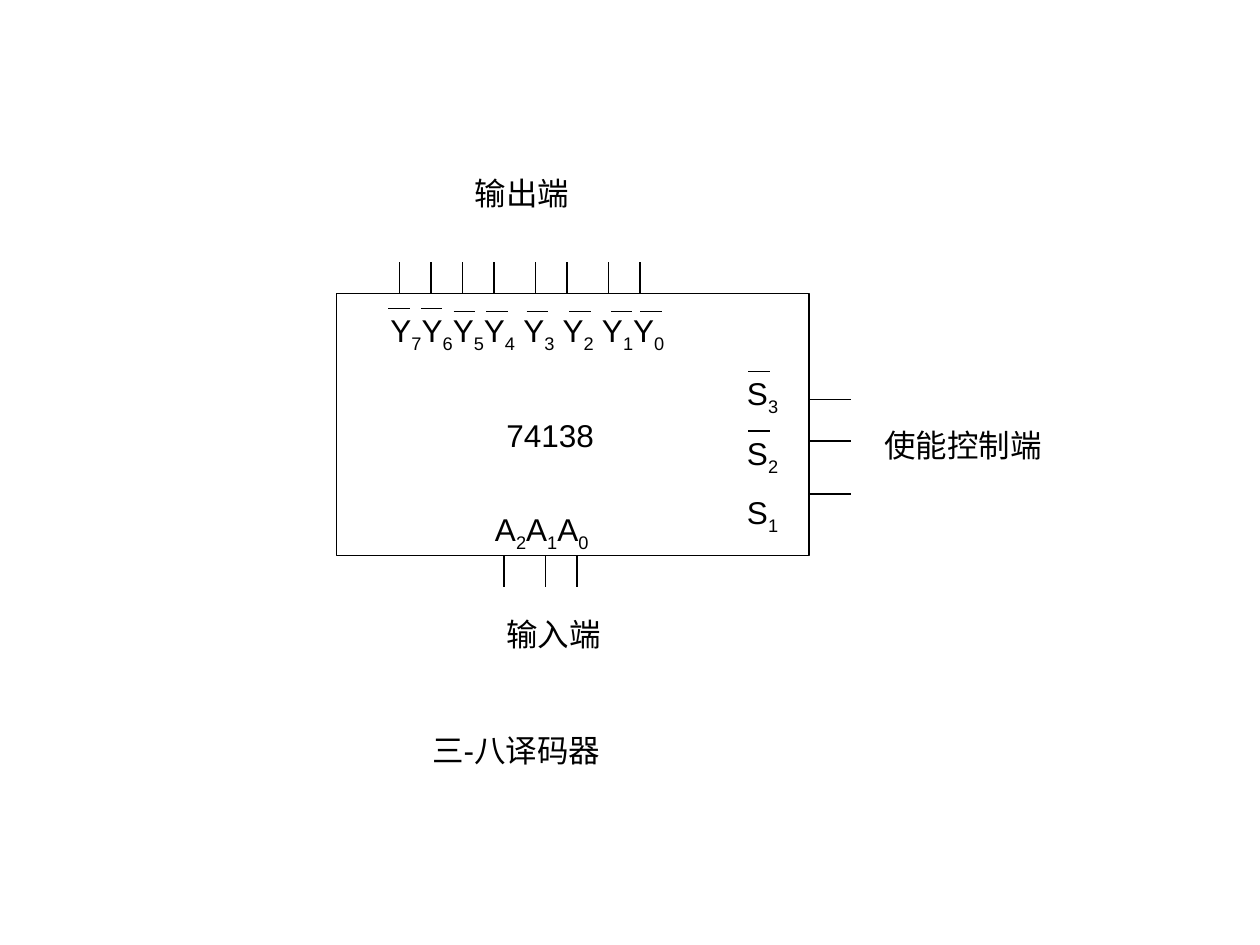
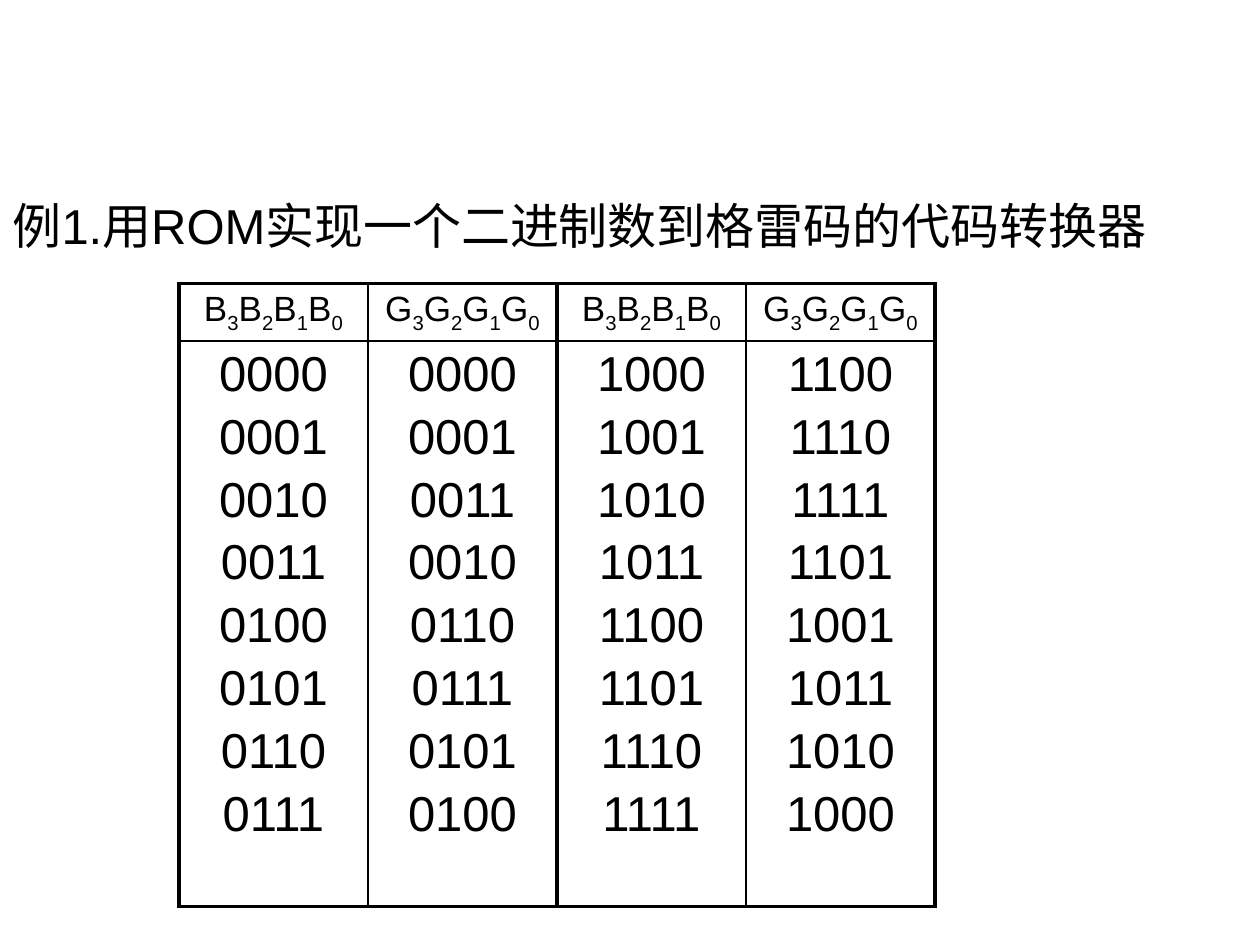
"""Build two slides: a 3-to-8 decoder diagram and a binary to Gray code table."""
import pptx
import pptx.dml.color
import pptx.enum.shapes
import pptx.enum.text
import pptx.util
from lxml import etree
from pptx.oxml.ns import qn

Inches, Pt = pptx.util.Inches, pptx.util.Pt
ALIGN = pptx.enum.text.PP_ALIGN
THEME = {
    "ink": pptx.dml.color.RGBColor(0, 0, 0),
    "font": "Arial",
    "label": 18, "header": 20, "body": 28,
    "thin": 0.75, "rule": 1, "frame": 2.25,
    "subscript": "-25000",
}
FRAME = {
    "word_wrap": True,
    "auto_size": pptx.enum.text.MSO_AUTO_SIZE.NONE,
    "vertical_anchor": pptx.enum.text.MSO_ANCHOR.TOP,
}


def write(tf, lines, size, align=ALIGN.LEFT, gap=0.0):
    """Fill a text frame; the character after each underscore is a subscript."""
    for n, text in enumerate(lines):
        p = tf.paragraphs[0] if n == 0 else tf.add_paragraph()
        p.alignment = align
        p.space_before = Pt(gap if n else 0)
        first, *rest = text.split("_")
        pieces = [(first, False)]
        for part in rest:
            pieces += [(part[0], True), (part[1:], False)]
        for piece, lowered in pieces:
            if not piece:
                continue
            r = p.add_run()
            r.text = piece
            fmt = {"name": THEME["font"], "size": Pt(size), "bold": False}
            for key, value in fmt.items():
                setattr(r.font, key, value)
            r.font.color.rgb = THEME["ink"]
            if lowered:
                r._r.get_or_add_rPr().set("baseline", THEME["subscript"])


def line(s, x1, y1, x2, y2):
    """Draw a thin straight line without a shadow."""
    c = s.shapes.add_connector(
        pptx.enum.shapes.MSO_CONNECTOR.STRAIGHT,
        Inches(x1), Inches(y1), Inches(x2), Inches(y2))
    c.line.color.rgb = THEME["ink"]
    c.line.width = Pt(THEME["thin"])
    etree.SubElement(c._element.spPr, qn("a:effectLst"))


prs = pptx.Presentation()
prs.slide_width, prs.slide_height = Inches(10), Inches(7.5)

slides = []
for title, box, size in [
    ("三-八译码器", (3.33, 5.75, 3.33, 0.4), THEME["label"]),
    ("例1.用ROM实现一个二进制数到格雷码的代码转换器", (0, 1.5, 9.58, 0.79), THEME["body"]),
]:
    s = prs.slides.add_slide(prs.slide_layouts[5])
    sp = s.shapes.title
    for key, value in zip(("left", "top", "width", "height"), box):
        setattr(sp, key, Inches(value))
    for key, value in FRAME.items():
        setattr(sp.text_frame, key, value)
    write(sp.text_frame, [title], size)
    slides.append(s)
decoder, gray = slides

left, top, width, height = 2.67, 2.33, 3.75, 2.08
right, bottom = left + width, top + height
chip = decoder.shapes.add_shape(
    pptx.enum.shapes.MSO_SHAPE.RECTANGLE,
    Inches(left), Inches(top), Inches(width), Inches(height))
chip.shadow.inherit = False
chip.fill.background()
chip.line.color.rgb = THEME["ink"]
chip.line.width = Pt(THEME["thin"])

for lines, box in [
    (["输出端"], (3.67, 1.33, 3.33, 0.4)),
    (["Y_7Y_6Y_5Y_4 Y_3 Y_2 Y_1Y_0"], (3, 2.42, 2.83, 0.4)),
    (["74138"], (3.92, 3.25, 1.08, 0.4)),
    (["S_3", "S_2", "S_1"], (5.83, 2.92, 0.92, 1.3)),
    (["使能控制端"], (6.92, 3.33, 3, 0.4)),
    (["A_2A_1A_0"], (3.83, 4, 1.42, 0.4)),
    (["输入端"], (3.92, 4.83, 3.33, 0.4)),
]:
    tf = decoder.shapes.add_textbox(*map(Inches, box)).text_frame
    for key, value in FRAME.items():
        setattr(tf, key, value)
    write(tf, lines, THEME["label"], gap=9.5)

for x in (3.17, 3.42, 3.67, 3.92, 4.25, 4.5, 4.83, 5.08):
    line(decoder, x, top - 0.25, x, top)
for x in (4, 4.33, 4.58):
    line(decoder, x, bottom, x, bottom + 0.25)
for y in (3.17, 3.5, 3.92):
    line(decoder, right, y, right + 0.33, y)
overbars = [(3.08, 2.45), (3.34, 2.45)]
overbars += [(x, 2.47) for x in (3.6, 3.86, 4.18, 4.52, 4.85, 5.08)]
overbars += [(5.94, 2.95), (5.94, 3.42)]
for x, y in overbars:
    line(decoder, x, y, x + 0.17, y)

headers = ["B_3B_2B_1B_0", "G_3G_2G_1G_0"]
gray_codes = [
    ["0000", "0001", "0011", "0010", "0110", "0111", "0101", "0100"],
    ["1100", "1110", "1111", "1101", "1001", "1011", "1010", "1000"],
]
col_width, row_heights = 1.5, (0.43, 4.49)
for half, codes in enumerate(gray_codes):
    binary = [f"{n + half * len(codes):04b}" for n in range(len(codes))]
    x = 1.42 + half * 2 * col_width
    tbl = gray.shapes.add_table(
        2, 2, Inches(x), Inches(2.25),
        Inches(2 * col_width), Inches(sum(row_heights))).table
    tbl.first_row = tbl.horz_banding = False
    for row, row_height in zip(tbl.rows, row_heights):
        row.height = Inches(row_height)
    for col, (header, values) in enumerate(zip(headers, (binary, codes))):
        tbl.columns[col].width = Inches(col_width)
        for row, (lines, size) in enumerate(
                [([header], THEME["header"]), (values, THEME["body"])]):
            cell = tbl.cell(row, col)
            write(cell.text_frame, lines, size, ALIGN.CENTER, gap=4.7)
            tcPr = cell._tc.get_or_add_tcPr()
            outer = {"a:lnL": col == 0, "a:lnR": col == 1,
                     "a:lnT": row == 0, "a:lnB": row == 1}
            for tag, is_outer in outer.items():
                weight = THEME["frame" if is_outer else "rule"]
                ln = etree.SubElement(tcPr, qn(tag), w=str(int(Pt(weight))))
                fill = etree.SubElement(ln, qn("a:solidFill"))
                etree.SubElement(fill, qn("a:srgbClr"), val=str(THEME["ink"]))
            cell.fill.background()

prs.save("out.pptx")
